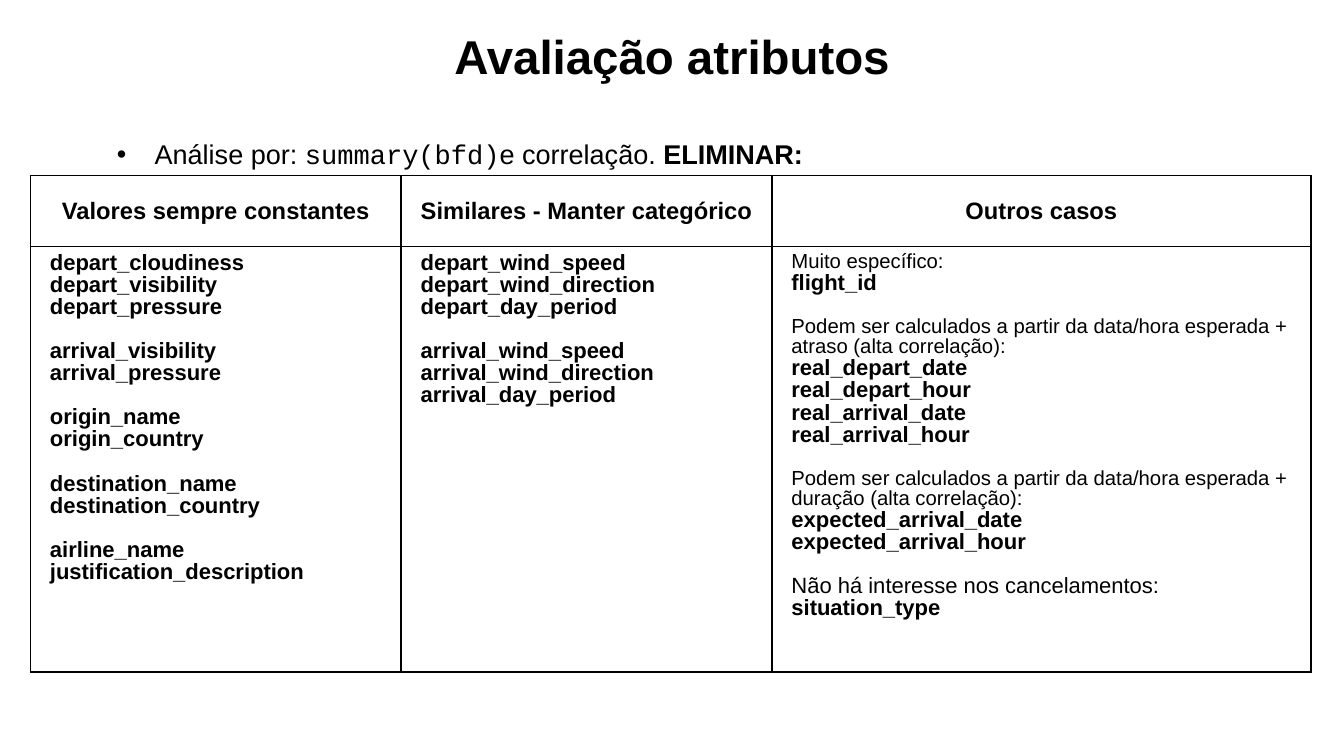
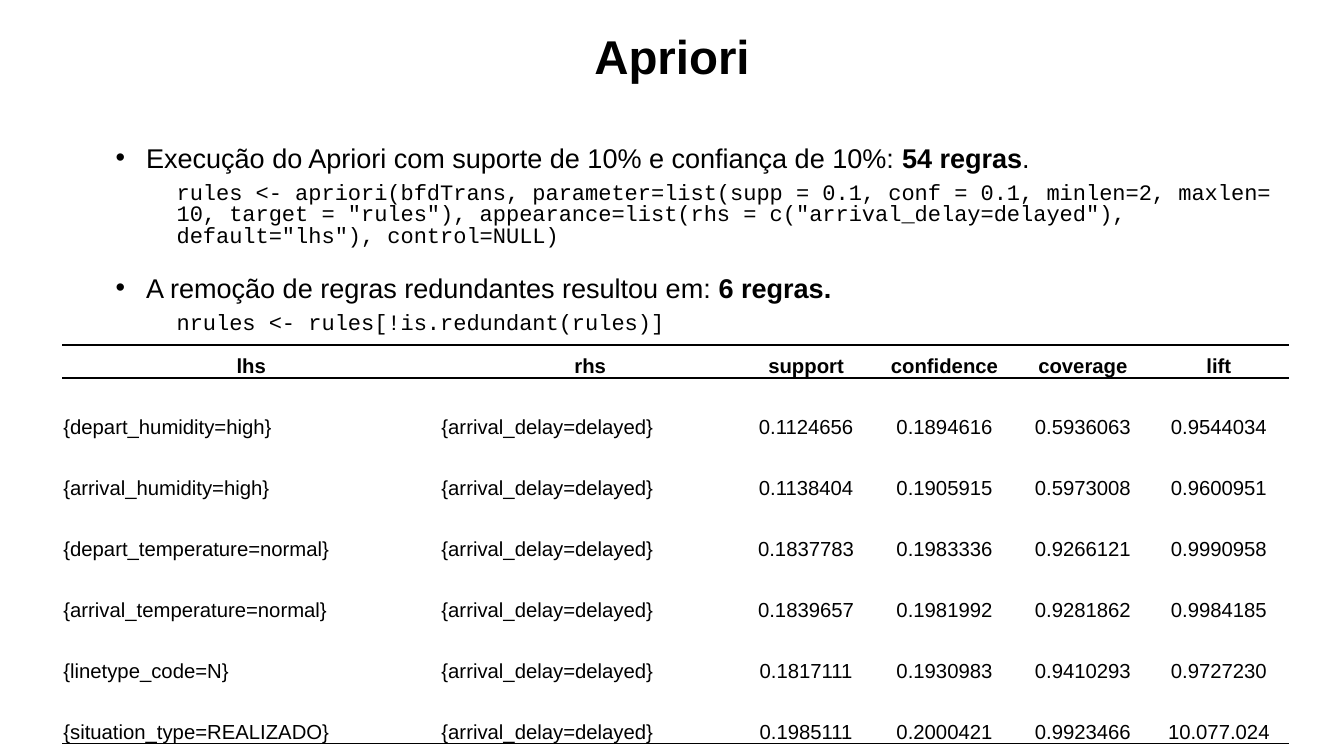
from dataclasses import dataclass

from lxml.etree import SubElement as Sub
from pptx import Presentation
from pptx.dml.color import RGBColor as Rgb
from pptx.enum.text import MSO_ANCHOR as Anchor, PP_ALIGN as Align
from pptx.oxml.ns import qn
from pptx.util import Inches, Pt


@dataclass(frozen=True)
class Theme:
    ink: str = "000000"
    sans: str = "Arial"
    mono: str = "Courier New"
    title: int = 28
    body: int = 16
    head: int = 14
    code: int = 13
    field: int = 13
    note: int = 12
    data: int = 12
    rule: int = 1


T = Theme()
WIDE, HIGH = 11.02, 6.2

FIELDS = [
    ("Valores sempre constantes", [
        ["depart_cloudiness", "depart_visibility", "depart_pressure"],
        ["arrival_visibility", "arrival_pressure"],
        ["origin_name", "origin_country"],
        ["destination_name", "destination_country"],
        ["airline_name", "justification_description"],
    ]),
    ("Similares - Manter categórico", [
        ["depart_wind_speed", "depart_wind_direction", "depart_day_period"],
        ["arrival_wind_speed", "arrival_wind_direction", "arrival_day_period"],
    ]),
    ("Outros casos", [
        [("Muito específico:", T.note), "flight_id"],
        [("Podem ser calculados a partir da data/hora esperada + atraso (alta correlação):", T.note),
         "real_depart_date", "real_depart_hour", "real_arrival_date", "real_arrival_hour"],
        [("Podem ser calculados a partir da data/hora esperada + duração (alta correlação):", T.note),
         "expected_arrival_date", "expected_arrival_hour"],
        [("Não há interesse nos cancelamentos:", T.field), "situation_type"],
    ]),
]

HEADS = ["lhs", "rhs", "support", "confidence", "coverage", "lift"]
RULES = [
    ("depart_humidity=high", "0.1124656", "0.1894616", "0.5936063", "0.9544034"),
    ("arrival_humidity=high", "0.1138404", "0.1905915", "0.5973008", "0.9600951"),
    ("depart_temperature=normal", "0.1837783", "0.1983336", "0.9266121", "0.9990958"),
    ("arrival_temperature=normal", "0.1839657", "0.1981992", "0.9281862", "0.9984185"),
    ("linetype_code=N", "0.1817111", "0.1930983", "0.9410293", "0.9727230"),
    ("situation_type=REALIZADO", "0.1985111", "0.2000421", "0.9923466", "10.077.024"),
]
CALL = ('rules <- apriori(bfdTrans, parameter=list(supp = 0.1, conf = 0.1, minlen=2, maxlen= 10, '
        'target = "rules"), appearance=list(rhs = c("arrival_delay=delayed"), '
        'default="lhs"), control=NULL)')
PRUNE = "nrules <- rules[!is.redundant(rules)]"


def style(run, size, bold=False, face=T.sans):
    run.font.size = Pt(size)
    run.font.bold = bold
    run.font.name = face
    run.font.color.rgb = Rgb.from_string(T.ink)


def space(par, line, after=0, before=0):
    par.line_spacing = line
    par.space_after = Pt(after)
    par.space_before = Pt(before)


def indent(par, left, hang=0.0):
    props = par._p.get_or_add_pPr()
    props.set("marL", str(Inches(left)))
    props.set("indent", str(Inches(-hang)))
    return props


def bullet(par, left, hang, line, parts):
    for text, bold, face in parts:
        run = par.add_run()
        run.text = text
        style(run, T.body, bold, face)
    space(par, line, after=6)
    props = indent(par, left, hang)
    tint = Sub(props, qn("a:buClr"))
    Sub(tint, qn("a:srgbClr"), val=T.ink)
    Sub(props, qn("a:buFont"), typeface=T.sans)
    Sub(props, qn("a:buChar"), char="•")


def code(par, text, after):
    par.text = text
    style(par.runs[0], T.code, face=T.mono)
    space(par, 0.8, after)
    indent(par, 0.56)


def frame(slide, box):
    text = slide.shapes.add_textbox(*map(Inches, box)).text_frame
    text.word_wrap = True
    return text


def title(slide, text):
    par = frame(slide, (0, 0.23, WIDE, 0.5)).paragraphs[0]
    par.text = text
    par.alignment = Align.CENTER
    style(par.runs[0], T.title, True)
    space(par, 0.9, after=6)


def edge(cell, sides):
    props = cell._tc.get_or_add_tcPr()
    for side in "LRTB":
        line = Sub(props, qn("a:ln" + side), w=str(Pt(T.rule)))
        if side in sides:
            fill = Sub(line, qn("a:solidFill"))
            Sub(fill, qn("a:srgbClr"), val=T.ink)
        else:
            Sub(line, qn("a:noFill"))
    cell.fill.background()


def table(slide, left, top, cols, rows):
    size = map(Inches, (left, top, sum(cols), sum(rows)))
    grid = slide.shapes.add_table(len(rows), len(cols), *size).table
    grid.first_row = grid.horz_banding = False
    for col, wide in zip(grid.columns, cols):
        col.width = Inches(wide)
    for row, high in zip(grid.rows, rows):
        row.height = Inches(high)
    return grid


def label(cell, text, size, bold, align, anchor):
    cell.text = text
    cell.vertical_anchor = anchor
    par = cell.text_frame.paragraphs[0]
    par.alignment = align
    style(par.runs[0], size, bold)


def groups(cell, blocks):
    lines = [(item, n > 0 and k == 0)
             for n, block in enumerate(blocks) for k, item in enumerate(block)]
    texts = [item if isinstance(item, str) else item[0] for item, _ in lines]
    cell.text = "\n".join(texts)
    for par, (item, first) in zip(cell.text_frame.paragraphs, lines):
        bold = isinstance(item, str)
        style(par.runs[0], T.field if bold else item[1], bold)
        space(par, 0.9, before=T.field if first else 0)
        indent(par, 0.06)


def fields(slide, left, top):
    grid = table(slide, left, top, [3.04, 3.04, 4.42], [0.58, 3.49])
    for col, (head, blocks) in enumerate(FIELDS):
        label(grid.cell(0, col), head, T.head, True, Align.CENTER, Anchor.MIDDLE)
        groups(grid.cell(1, col), blocks)
        for row in range(2):
            edge(grid.cell(row, col), "LRTB")


def rules(slide, left, top):
    body = [(f"{{{lhs}}}", "{arrival_delay=delayed}", *nums) for lhs, *nums in RULES]
    grid = table(slide, left, top, [3.1, 2.46, 1.08, 1.19, 1.08, 1.15],
                 [0.27] + [0.5] * len(body))
    for row, texts in enumerate([HEADS] + body):
        sides = "TB" if row == 0 else "B" if row == len(body) else "T" if row == 1 else ""
        for col, text in enumerate(texts):
            cell = grid.cell(row, col)
            align = Align.CENTER if row == 0 or col > 1 else Align.LEFT
            label(cell, text, T.data, row == 0, align, Anchor.BOTTOM)
            cell.margin_left = cell.margin_right = cell.margin_top = Inches(0.01)
            cell.margin_bottom = 0
            edge(cell, sides)


def review(slide):
    title(slide, "Avaliação atributos")
    par = frame(slide, (0.79, 1.11, 9.45, 0.36)).paragraphs[0]
    bullet(par, 0.38, 0.31, 0.9, [
        ("Análise por: ", False, T.sans), ("summary(bfd)", False, T.mono),
        ("e correlação. ", False, T.sans), ("ELIMINAR:", True, T.sans)])
    fields(slide, 0.25, 1.44)


def mining(slide):
    title(slide, "Apriori")
    text = frame(slide, (0.79, 0.83, 10.06, 2.19))
    text.margin_top = Inches(0.38)
    steps = [
        ([("Execução do Apriori com suporte de 10% e confiança de 10%: ", False, T.sans),
          ("54 regras", True, T.sans), (".", False, T.sans)], CALL, 18),
        ([("A remoção de regras redundantes resultou em: ", False, T.sans),
          ("6 regras.", True, T.sans)], PRUNE, 6),
    ]
    for n, (parts, call, after) in enumerate(steps):
        par = text.add_paragraph() if n else text.paragraphs[0]
        bullet(par, 0.31, 0.25, 0.8, parts)
        code(text.add_paragraph(), call, after)
    rules(slide, 0.51, 2.83)


def main():
    deck = Presentation()
    deck.slide_width, deck.slide_height = Inches(WIDE), Inches(HIGH)
    for build in (review, mining):
        build(deck.slides.add_slide(deck.slide_layouts[6]))
    deck.save("out.pptx")


if __name__ == "__main__":
    main()
